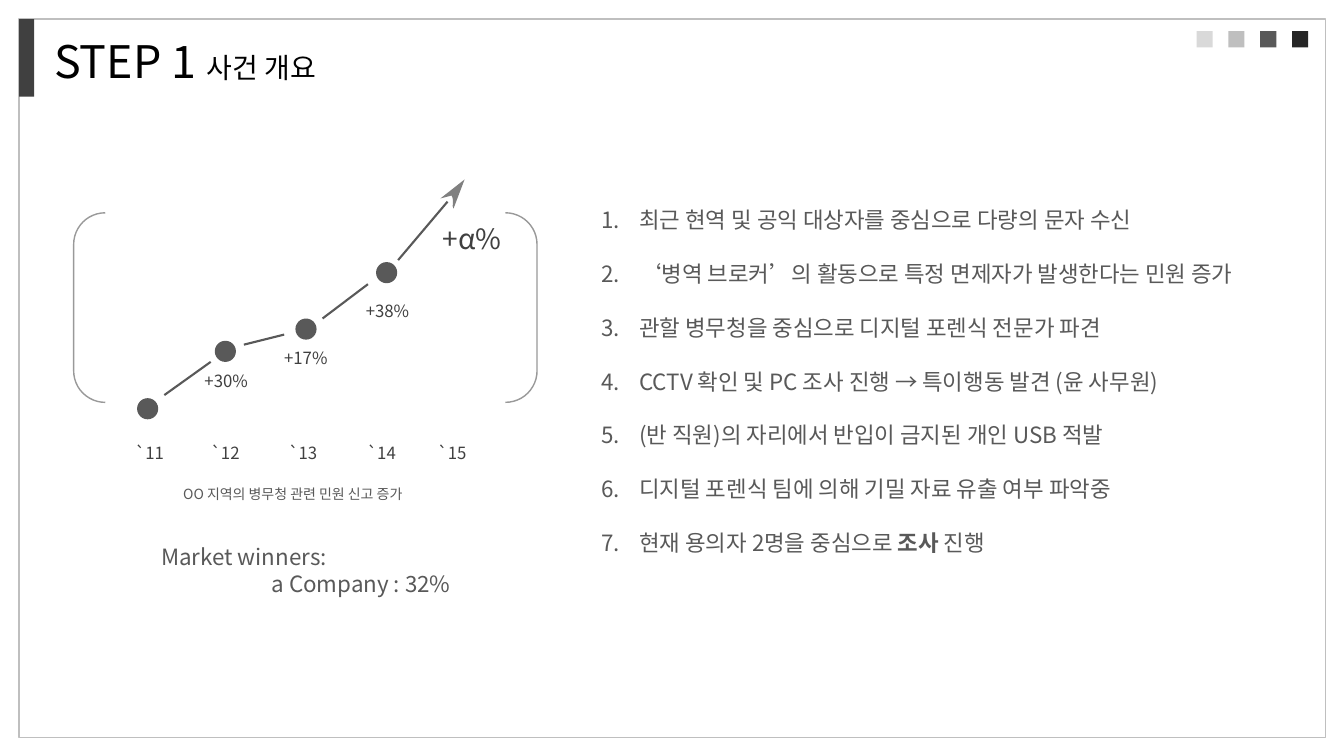
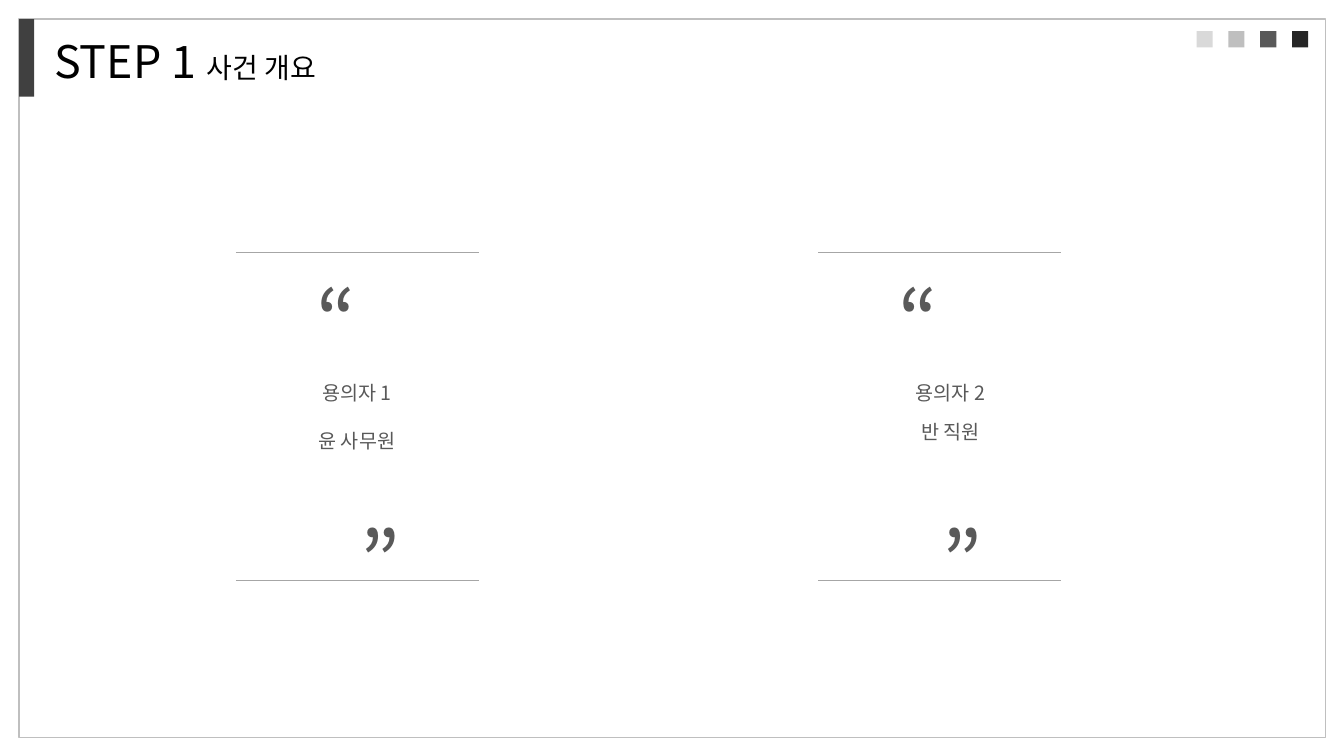
"""Build two slides outlining the case and its suspects."""
from lxml.etree import SubElement
from pptx import Presentation
from pptx.dml.color import RGBColor
from pptx.enum.shapes import MSO_CONNECTOR, MSO_SHAPE
from pptx.enum.text import PP_ALIGN
from pptx.oxml.ns import qn
from pptx.util import Pt

FONT = "Noto Sans CJK KR"
LINE_FACTOR = 1.2
COLORS = {
    "black": "000000", "ink": "262626", "dark": "404040", "text": "595959",
    "gray": "808080", "rule": "A6A6A6", "silver": "BFBFBF", "pale": "D9D9D9",
}
TITLE = [("STEP 1 ", 32, False), ("사건 개요", 20, False)]
CORNER_COLORS = ["pale", "silver", "text", "ink"]

DOT_SIZE = 15.1
DOTS = [(97.9, 284.4), (153.4, 243.4), (211, 227.5), (268.6, 187.2)]
SEGMENTS = [
    (117.4, 282.2, 150.5, 258.5), (174.2, 246.2, 203, 239),
    (230.4, 227.5, 262.8, 203), (284.4, 185.8, 319.7, 144),
]
ARROWHEAD = [
    (314.6, 141.8), (331.9, 128.2), (324, 149), (323.4, 147.2),
    (323.6, 144.4), (323.4, 141.6), (322.6, 139.7),
]
GROWTH = [
    ("+30%", 129.6, 261.4, 12), ("+17%", 186.5, 244.8, 12),
    ("+38%", 244.8, 211, 12), ("+α%", 305.3, 154.8, 20),
]
YEARS = [("`11", 77), ("`12", 131), ("`13", 186.5), ("`14", 242.6), ("`15", 293)]
CAPTION = "OO 지역의 병무청 관련 민원 신고 증가"
WINNERS = [("Market winners:", PP_ALIGN.LEFT), ("a Company : 32%", PP_ALIGN.RIGHT)]
EVENTS = [
    ["최근 현역 및 공익 대상자를 중심으로 다량의 문자 수신"],
    ["‘병역 브로커’의 활동으로 특정 면제자가 발생한다는 민원 증가"],
    ["관할 병무청을 중심으로 디지털 포렌식 전문가 파견"],
    ["CCTV 확인 및 PC 조사 진행 → 특이행동 발견 (윤 사무원)"],
    ["(반 직원)의 자리에서 반입이 금지된 개인 USB 적발"],
    ["디지털 포렌식 팀에 의해 기밀 자료 유출 여부 파악중"],
    ["현재 용의자 2명을 중심으로 ", "조사", " 진행"],
]
BOLD_WORDS = {"조사"}
SUSPECTS = [
    {"lines": ["용의자 1", "윤 사무원"], "left": 168.5, "name_left": 160.6, "gap": 17.5},
    {"lines": ["용의자 2", "반 직원"], "left": 584.6, "name_left": 584.6, "gap": 11},
]


def color(name):
    return RGBColor.from_string(COLORS[name])


def add_figure(slide, kind, box, fill=None, line=None):
    shape = slide.shapes.add_shape(kind, *map(Pt, box))
    shape.shadow.inherit = False
    if fill:
        shape.fill.solid()
        shape.fill.fore_color.rgb = color(fill)
    else:
        shape.fill.background()
    if line:
        shape.line.color.rgb = color(line)
        shape.line.width = Pt(1)
    else:
        shape.line.fill.background()
    return shape


def add_line(slide, ends, line, width):
    connector = slide.shapes.add_connector(MSO_CONNECTOR.STRAIGHT, *map(Pt, ends))
    connector.line.color.rgb = color(line)
    connector.line.width = Pt(width)
    SubElement(connector._element.spPr, qn("a:effectLst"))


def add_text(slide, box, paragraphs, ink="text", align=PP_ALIGN.LEFT, gap=0, numbered=False):
    """Write paragraphs, each a list of (text, size, bold) runs, optionally with its own alignment."""
    frame = slide.shapes.add_textbox(*map(Pt, box)).text_frame
    frame.word_wrap = True
    for index, runs in enumerate(paragraphs):
        paragraph = frame.add_paragraph() if index else frame.paragraphs[0]
        paragraph.alignment = align[index] if isinstance(align, list) else align
        paragraph.line_spacing = Pt(LINE_FACTOR * max(size for _, size, _ in runs))
        if index and gap:
            paragraph.space_before = Pt(gap)
        if numbered:
            properties = paragraph._p.get_or_add_pPr()
            properties.set("marL", str(Pt(27)))
            properties.set("indent", str(Pt(-27)))
            SubElement(properties, qn("a:buFont"), typeface=FONT)
            SubElement(properties, qn("a:buAutoNum"), type="arabicPeriod")
        for text, size, bold in runs:
            run = paragraph.add_run()
            run.text = text
            run.font.size = Pt(size)
            run.font.bold = bold
            run.font.name = FONT
            run.font.color.rgb = color(ink)
            SubElement(run._r.get_or_add_rPr(), qn("a:ea"), typeface=FONT)


def add_base_slide(presentation):
    slide = presentation.slides.add_slide(presentation.slide_layouts[6])
    add_figure(slide, MSO_SHAPE.RECTANGLE, (13.7, 13.7, 933, 513), line="silver")
    add_figure(slide, MSO_SHAPE.RECTANGLE, (13.7, 13.7, 10.8, 55.4), "dark")
    add_text(slide, (31.7, 20.2, 382, 46), [TITLE], "black")
    for index, fill in enumerate(CORNER_COLORS):
        add_figure(slide, MSO_SHAPE.RECTANGLE, (854.7 + 22.75 * index, 22.3, 11.5, 11.5), fill)
    return slide


def add_trend(slide):
    bracket = add_figure(slide, MSO_SHAPE.DOUBLE_BRACKET, (52.6, 152, 331, 135.4), line="gray")
    line_color = bracket.line._ln.find(".//" + qn("a:srgbClr"))
    SubElement(line_color, qn("a:alpha"), val="80000")
    for left, top in DOTS:
        add_figure(slide, MSO_SHAPE.OVAL, (left, top, DOT_SIZE, DOT_SIZE), "text")
    for ends in SEGMENTS:
        add_line(slide, ends, "text", 1.5)
    outline = [(Pt(x), Pt(y)) for x, y in ARROWHEAD]
    builder = slide.shapes.build_freeform(*outline[0])
    builder.add_line_segments(outline[1:], close=True)
    arrowhead = builder.convert_to_shape()
    arrowhead.shadow.inherit = False
    arrowhead.fill.solid()
    arrowhead.fill.fore_color.rgb = color("gray")
    arrowhead.line.fill.background()
    for text, left, top, size in GROWTH:
        add_text(slide, (left, top, 64, size * 1.8), [[(text, size, False)]], "dark", PP_ALIGN.CENTER)
    for text, left in YEARS:
        add_text(slide, (left, 312.5, 59.8, 21.6), [[(text, 12, False)]], "dark", PP_ALIGN.CENTER)


def add_overview(presentation):
    slide = add_base_slide(presentation)
    add_trend(slide)
    add_text(slide, (123.8, 343.4, 188.6, 19.4), [[(CAPTION, 10, False)]])
    add_text(slide, (108, 384.5, 221, 46), [[(text, 16, False)] for text, _ in WINNERS],
             align=[align for _, align in WINNERS])
    events = [[(text, 16, text in BOLD_WORDS) for text in event] for event in EVENTS]
    add_text(slide, (422.6, 144, 524, 259), events, gap=19.2, numbered=True)


def add_suspects(presentation):
    slide = add_base_slide(presentation)
    for suspect in SUSPECTS:
        left = suspect["left"]
        for top in (180.7, 414.7):
            add_line(slide, (left, top, left + 173.5, top), "rule", 0.75)
        for mark, offset, top in (("“", -83.5, 188.6), ("”", -52, 360.7)):
            add_text(slide, (left + offset, top, 310.3, 80), [[(mark, 60, False)]],
                     align=PP_ALIGN.CENTER)
        add_text(slide, (suspect["name_left"], 268.6, 188.6, 58),
                 [[(text, 14, False)] for text in suspect["lines"]],
                 align=PP_ALIGN.CENTER, gap=suspect["gap"])


def main():
    presentation = Presentation()
    presentation.slide_width = Pt(960)
    presentation.slide_height = Pt(540)
    add_overview(presentation)
    add_suspects(presentation)
    presentation.save("out.pptx")


if __name__ == "__main__":
    main()
